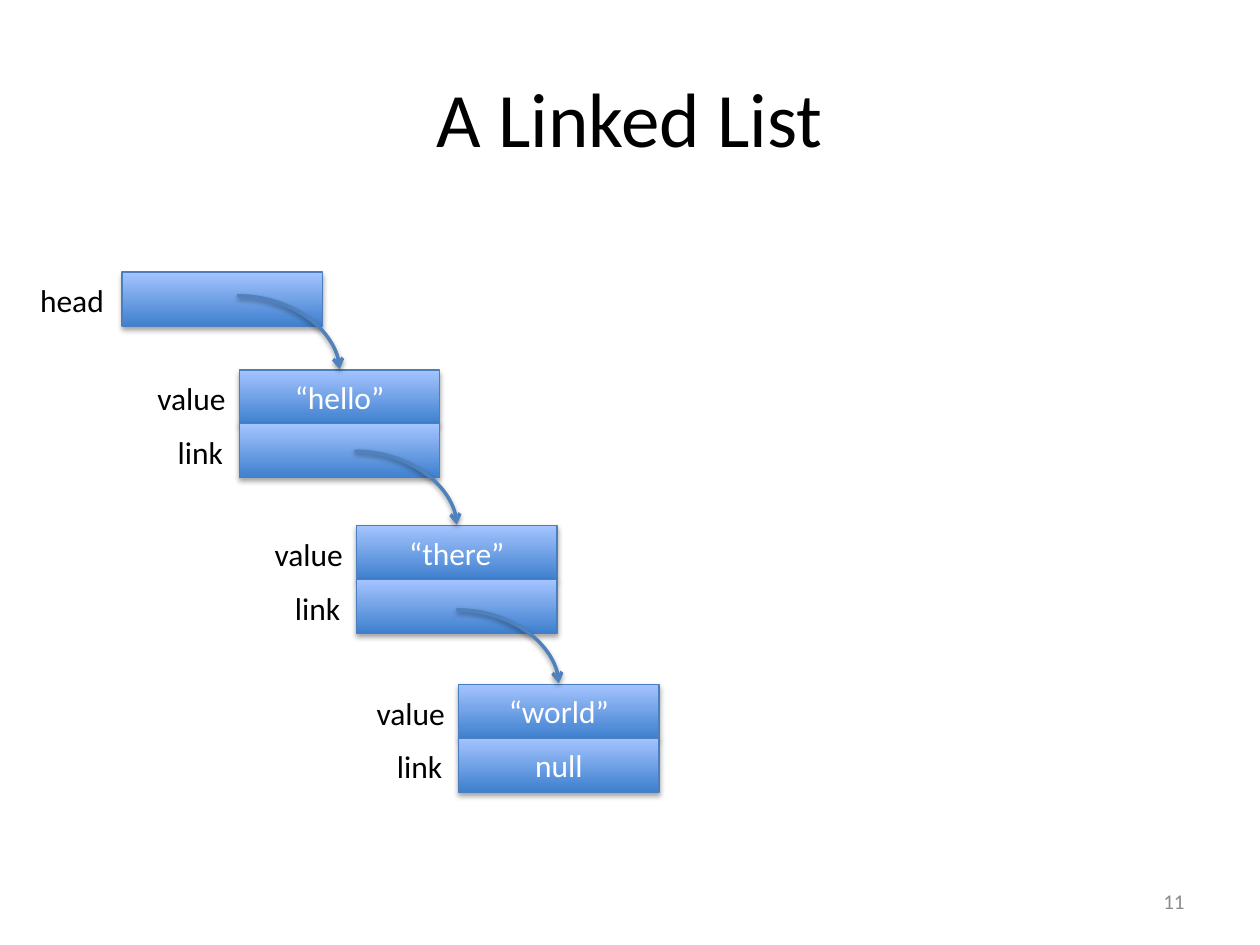
from lxml import etree
from pptx import Presentation
from pptx.dml.color import RGBColor
from pptx.enum.shapes import MSO_CONNECTOR, MSO_SHAPE
from pptx.enum.text import MSO_ANCHOR, PP_ALIGN
from pptx.oxml.ns import qn
from pptx.util import Pt

BLACK = RGBColor(0x00, 0x00, 0x00)
WHITE = RGBColor(0xFF, 0xFF, 0xFF)
GRAY = RGBColor(0x8C, 0x8C, 0x8C)
CELL_DARK = RGBColor(0x3F, 0x80, 0xCE)
CELL_LIGHT = RGBColor(0xA4, 0xC4, 0xFF)
CELL_EDGE = RGBColor(0x4B, 0x7E, 0xBC)
ARROW = RGBColor(0x4F, 0x81, 0xBD)

CELL_W, CELL_H, ROW_STEP = 114.5, 30.8, 30.7
LABEL_H = 29
ARROW_W, ARROW_H = 58.5, 42

# Each node: left, top, and rows of (label, label offset, label width, content)
NODES = [
    (69.8, 155.5, [("head", 54, 51, "")]),
    (136.8, 211.5, [("value", 54, 54, "“hello”"), ("link", 42.3, 41, "")]),
    (203.8, 300.4, [("value", 54, 54, "“there”"), ("link", 42.3, 41, "")]),
    (262.1, 391, [("value", 54, 54, "“world”"), ("link", 42.3, 41, "null")]),
]


def set_text(shape, text, size, color, align):
    shape.text_frame.text = text
    paragraph = shape.text_frame.paragraphs[0]
    paragraph.alignment = align
    paragraph.font.name = "Calibri"
    paragraph.font.size = Pt(size)
    paragraph.font.color.rgb = color


def add_shadow(shape, opacity, distance):
    effects = etree.SubElement(shape._element.spPr, qn("a:effectLst"))
    shadow = etree.SubElement(
        effects, qn("a:outerShdw"), blurRad=str(Pt(3.1)), dist=str(Pt(distance)),
        dir="5400000", rotWithShape="0")
    color = etree.SubElement(shadow, qn("a:srgbClr"), val="000000")
    etree.SubElement(color, qn("a:alpha"), val=str(opacity * 1000))


prs = Presentation()
prs.slide_width, prs.slide_height = Pt(720), Pt(540)
slide = prs.slides.add_slide(prs.slide_layouts[5])

# Title
title = slide.shapes.title
title.left, title.top, title.width, title.height = Pt(36), Pt(21.6), Pt(648), Pt(90)
set_text(title, "A Linked List", 44, BLACK, PP_ALIGN.CENTER)

# Slide number
number = slide.shapes.add_textbox(Pt(516), Pt(500.5), Pt(168), Pt(28.8))
number.text_frame.word_wrap = True
number.text_frame.vertical_anchor = MSO_ANCHOR.MIDDLE
set_text(number, "11", 12, GRAY, PP_ALIGN.RIGHT)

# List nodes, each a group of cells and their labels
for left, top, rows in NODES:
    node = slide.shapes.add_group_shape()
    for i, (name, offset, width, content) in enumerate(rows):
        row_top = top + i * ROW_STEP
        cell = node.shapes.add_shape(
            MSO_SHAPE.RECTANGLE, Pt(left), Pt(row_top), Pt(CELL_W), Pt(CELL_H))
        cell.fill.gradient()
        cell.fill.gradient_angle = 90
        for stop, color in zip(cell.fill.gradient_stops, (CELL_DARK, CELL_LIGHT)):
            stop.color.rgb = color
        cell.fill.gradient_stops[0].position = 0
        cell.fill.gradient_stops[1].position = 1
        cell.line.color.rgb = CELL_EDGE
        cell.line.width = Pt(0.75)
        add_shadow(cell, 35, 1.8)
        if content:
            cell.text_frame.vertical_anchor = MSO_ANCHOR.MIDDLE
            set_text(cell, content, 18, WHITE, PP_ALIGN.CENTER)

        label = node.shapes.add_textbox(
            Pt(left - offset), Pt(row_top + 1.8), Pt(width), Pt(LABEL_H))
        label.text_frame.word_wrap = False
        set_text(label, name, 18, BLACK, PP_ALIGN.LEFT)

# Curved arrows down to the top centre of each following node
for left, top, rows in NODES[1:]:
    end_x, end_y = left + CELL_W / 2, top - 0.5
    link = slide.shapes.add_connector(
        MSO_CONNECTOR.CURVE, Pt(end_x - ARROW_W), Pt(end_y - ARROW_H),
        Pt(end_x), Pt(end_y))
    link._element.spPr.find(qn("a:prstGeom")).set("prst", "curvedConnector2")
    link.line.color.rgb = ARROW
    link.line.width = Pt(2)
    etree.SubElement(link.line._get_or_add_ln(), qn("a:tailEnd"), type="arrow")
    add_shadow(link, 38, 1.6)

prs.save("out.pptx")
